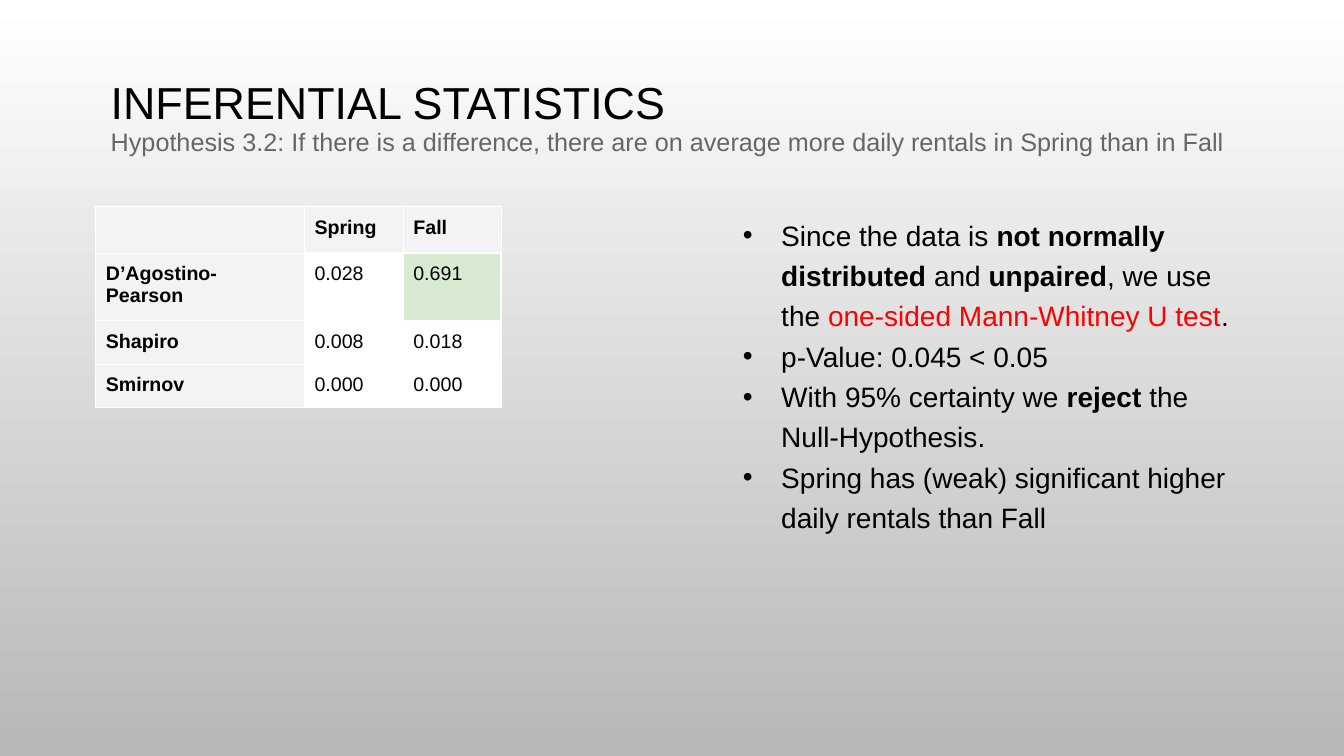
from lxml import etree
from pptx import Presentation
from pptx import util as u
from pptx.dml.color import RGBColor
from pptx.enum import text
from pptx.oxml import ns

BLACK = RGBColor(0x00, 0x00, 0x00)
WHITE = RGBColor(0xFF, 0xFF, 0xFF)
GREY = RGBColor(0x66, 0x66, 0x66)
SILVER = RGBColor(0xB7, 0xB7, 0xB7)
PALE = RGBColor(0xF3, 0xF3, 0xF3)
GREEN = RGBColor(0xD9, 0xEA, 0xD3)
RED = RGBColor(0xFF, 0x00, 0x00)

deck = Presentation()
deck.slide_width, deck.slide_height = u.Inches(13.33), u.Inches(7.5)
page = deck.slides.add_slide(deck.slide_layouts[6])

backdrop = page.background.fill
backdrop.gradient()
backdrop.gradient_angle = 270
for stop, color in zip(backdrop.gradient_stops, (WHITE, SILVER)):
    stop.color.rgb = color


def add_span(para, words, size, color=BLACK, bold=False):
    span = para.add_run()
    span.text = words
    for name, value in {"name": "Arial", "size": u.Pt(size), "bold": bold}.items():
        setattr(span.font, name, value)
    span.font.color.rgb = color


def add_frame(left, top, width, height, anchor):
    """Add a wrapping text box and return its text frame."""
    box = page.shapes.add_textbox(*map(u.Inches, (left, top, width, height)))
    box.text_frame.word_wrap = True
    box.text_frame.vertical_anchor = anchor
    return box.text_frame


# Heading
heading = add_frame(1, 0.68, 11.33, 1, text.MSO_ANCHOR.MIDDLE)
heading_lines = [
    ("INFERENTIAL STATISTICS", 32, BLACK),
    ("Hypothesis 3.2: If there is a difference, there are on average "
     "more daily rentals in Spring than in Fall", 18, GREY),
]
for index, line in enumerate(heading_lines):
    para = heading.add_paragraph() if index else heading.paragraphs[0]
    para.line_spacing = 0.9
    add_span(para, *line)

# Conclusions
conclusions = [
    [("Since the data is ", {}), ("not normally distributed", {"bold": True}),
     (" and ", {}), ("unpaired", {"bold": True}), (", we use the ", {}),
     ("one-sided Mann-Whitney U test", {"color": RED}), (".", {})],
    [("p-Value: 0.045 < 0.05", {})],
    [("With 95% certainty we ", {}), ("reject ", {"bold": True}),
     ("the Null-Hypothesis.", {})],
    [("Spring has (weak) significant higher daily rentals than Fall", {})],
]
body = add_frame(7.15, 2.05, 5.19, 4.29, text.MSO_ANCHOR.TOP)
for index, spans in enumerate(conclusions):
    para = body.add_paragraph() if index else body.paragraphs[0]
    para.line_spacing = 1.2
    para.space_before = u.Pt(0 if index else 10)
    props = para._p.get_or_add_pPr()
    props.set("marL", str(u.Inches(0.5)))
    props.set("indent", str(u.Inches(-0.38)))
    etree.SubElement(props, ns.qn("a:buFont"), typeface="Arial")
    etree.SubElement(props, ns.qn("a:buChar"), char="•")
    for words, look in spans:
        add_span(para, words, 20, **look)

# Normality tests
results = [
    ("", "Spring", "Fall"),
    ("D’Agostino-Pearson", "0.028", "0.691"),
    ("Shapiro", "0.008", "0.018"),
    ("Smirnov", "0.000", "0.000"),
]
widths = (2.07, 0.98, 0.97)
heights = (0.46, 0.44, 0.43, 0.43)
table = page.shapes.add_table(
    len(heights), len(widths), u.Inches(0.95), u.Inches(2.05),
    u.Inches(sum(widths)), u.Inches(sum(heights))).table
table.first_row = table.horz_banding = False
for column, width in zip(table.columns, widths):
    column.width = u.Inches(width)
for row, height in zip(table.rows, heights):
    row.height = u.Inches(height)

for r, values in enumerate(results):
    for c, value in enumerate(values):
        cell = table.cell(r, c)
        is_label = r == 0 or c == 0
        cell.margin_left = cell.margin_right = u.Inches(0.1)
        cell.margin_top = cell.margin_bottom = u.Inches(0.1 if value else 0.05)
        add_span(cell.text_frame.paragraphs[0], value, 14, bold=is_label)
        if is_label:
            sides = "LRTB" if r == c else "LRT" if r == 0 else "LTB"
            for side in sides:
                border = etree.SubElement(cell._tc.get_or_add_tcPr(),
                                          ns.qn(f"a:ln{side}"), w=str(u.Pt(0.75)))
                paint = etree.SubElement(border, ns.qn("a:solidFill"))
                etree.SubElement(paint, ns.qn("a:srgbClr"), val=str(WHITE))
        cell.fill.solid()
        passes = not is_label and float(value) > 0.05
        cell.fill.fore_color.rgb = PALE if is_label else GREEN if passes else WHITE

deck.save("out.pptx")
